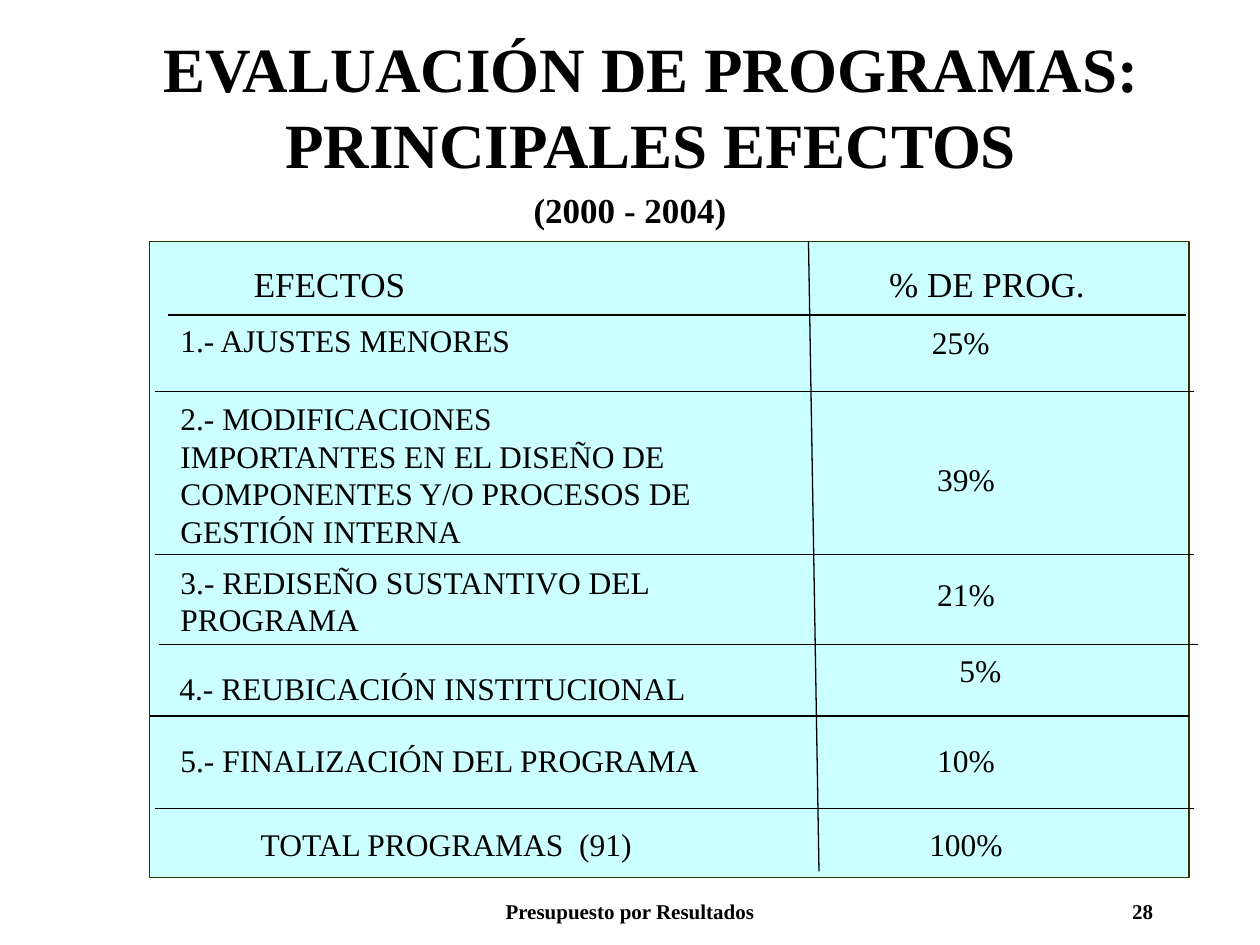
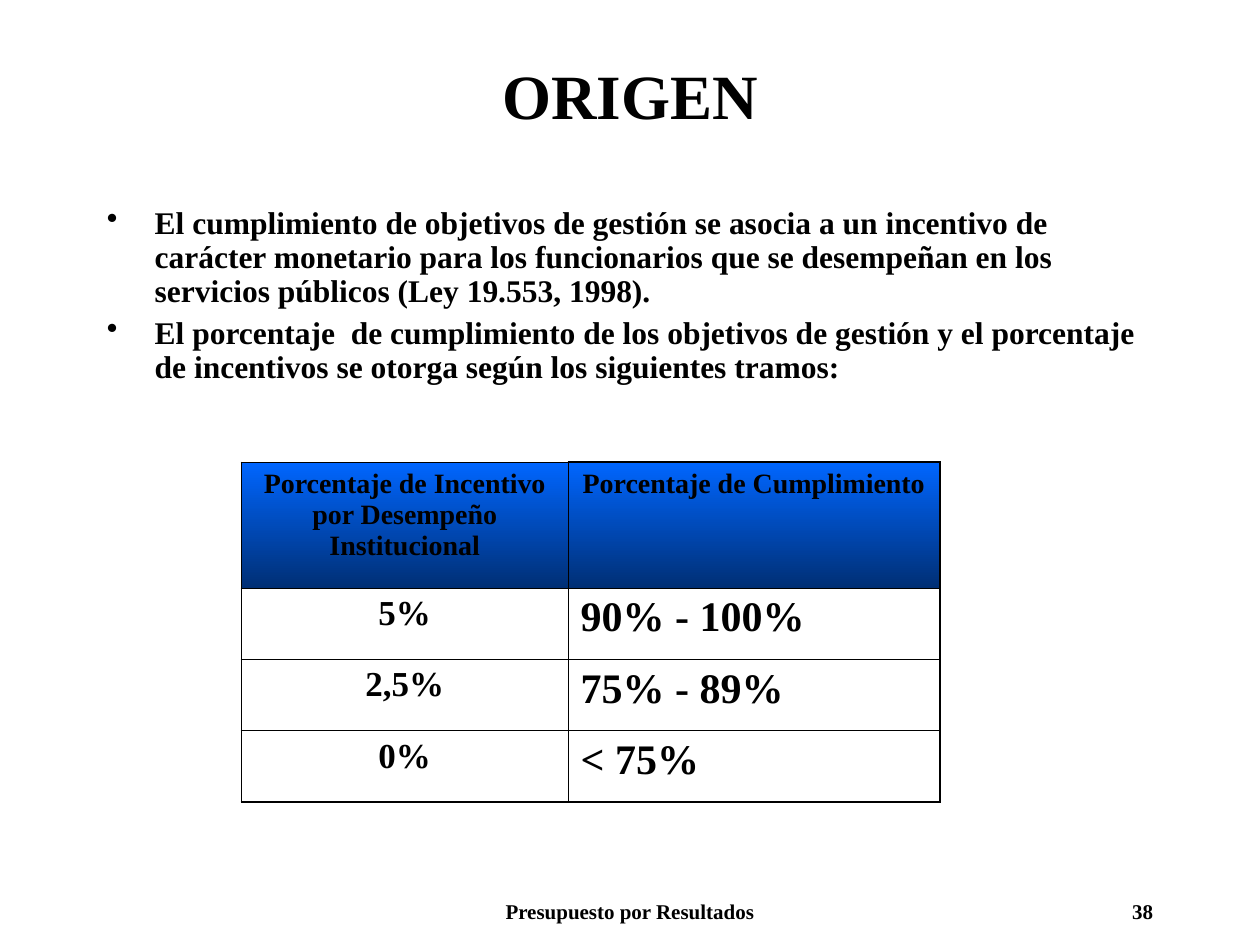
from dataclasses import dataclass
from typing import Optional

import pptx
import pptx.dml.color
import pptx.enum.shapes
import pptx.enum.text
import pptx.oxml
import pptx.oxml.ns
import pptx.util
from lxml import etree

ALIGN = pptx.enum.text.PP_ALIGN
ANCHOR = pptx.enum.text.MSO_ANCHOR

# Shared look: a grid of 120 columns by 90 rows on a 10 x 7.5 inch slide
SLIDE_WIDTH = pptx.util.Inches(10)
SLIDE_HEIGHT = pptx.util.Inches(7.5)
COLUMNS, ROWS = 120, 90
FONT = "Times New Roman"
INK, PANEL, PANEL_EDGE = "000000", "CCFFFF", "333300"
HEADER_TOP, HEADER_BOTTOM = "0066FF", "002F75"
FOOTER = "Presupuesto por Resultados"


@dataclass(frozen=True)
class Box:
    """Place on the grid, in columns and rows."""
    left: float
    top: float
    width: float
    height: float


@dataclass(frozen=True)
class TextStyle:
    size: float
    bold: bool = False
    align: ALIGN = ALIGN.LEFT
    before: float = 0
    line: Optional[float] = None


@dataclass(frozen=True)
class Effect:
    """One line of the effects panel: a label and its share of programmes."""
    label: str
    label_box: Box
    share: str
    share_box: Box
    label_style: TextStyle
    share_style: TextStyle


TITLE = TextStyle(36, bold=True, align=ALIGN.CENTER)
PERIOD = TextStyle(20, bold=True, align=ALIGN.CENTER)
HEADING = TextStyle(20, before=12.5)
HEADING_CENTRED = TextStyle(20, align=ALIGN.CENTER, before=12.5)
ENTRY = TextStyle(18, before=11.2)
ENTRY_CENTRED = TextStyle(18, align=ALIGN.CENTER, before=11.2)
BULLET = TextStyle(18, bold=True, before=4.5, line=0.9)


def across(columns: float) -> int:
    return round(SLIDE_WIDTH * columns / COLUMNS)


def down(rows: float) -> int:
    return round(SLIDE_HEIGHT * rows / ROWS)


def place(box: Box) -> tuple[int, int, int, int]:
    return across(box.left), down(box.top), across(box.width), down(box.height)


def colour(value: str) -> pptx.dml.color.RGBColor:
    return pptx.dml.color.RGBColor.from_string(value)


def write(paragraph, text: str, style: TextStyle) -> None:
    paragraph.alignment = style.align
    paragraph.space_before = pptx.util.Pt(style.before)
    if style.line:
        paragraph.line_spacing = style.line
    run = paragraph.add_run()
    run.text = text
    run.font.name = FONT
    run.font.size = pptx.util.Pt(style.size)
    run.font.bold = style.bold
    run.font.color.rgb = colour(INK)


def add_text(slide, box: Box, text: str, style: TextStyle,
             anchor: ANCHOR = ANCHOR.TOP, grow: bool = False) -> None:
    frame = slide.shapes.add_textbox(*place(box)).text_frame
    frame.word_wrap = True
    frame.vertical_anchor = anchor
    if grow:
        frame.auto_size = pptx.enum.text.MSO_AUTO_SIZE.SHAPE_TO_FIT_TEXT
    write(frame.paragraphs[0], text, style)


def add_rule(slide, x1: float, y1: float, x2: float, y2: float) -> None:
    rule = slide.shapes.add_connector(
        pptx.enum.shapes.MSO_CONNECTOR.STRAIGHT,
        across(x1), down(y1), across(x2), down(y2))
    rule.line.color.rgb = colour(INK)
    rule.line.width = pptx.util.Pt(0.75)
    etree.SubElement(rule._element.spPr, pptx.oxml.ns.qn("a:effectLst"))


def add_slide(deck, title: str, title_box: Box, number: int):
    """Blank slide with the shared title and footer."""
    slide = deck.slides.add_slide(deck.slide_layouts[6])
    add_text(slide, title_box, title, TITLE, ANCHOR.MIDDLE)
    add_text(slide, Box(41, 85, 38, 3), FOOTER, TextStyle(12, True, ALIGN.CENTER))
    add_text(slide, Box(86, 85, 25, 3), str(number), TextStyle(12, True, ALIGN.RIGHT))
    return slide


# Effects of the programme evaluation
def effect(label: str, label_top: float, label_width: float, share: str, share_top: float,
           *, lines: int = 1, label_left: float = 16, share_left: float = 79,
           share_width: float = 26, label_style: TextStyle = ENTRY) -> Effect:
    return Effect(label, Box(label_left, label_top, label_width, 1.2 + 3.6 * lines),
                  share, Box(share_left, share_top, share_width, 4.8),
                  label_style, ENTRY_CENTRED)


EFFECTS = [
    Effect("EFECTOS", Box(23, 24.4, 18.25, 5.25), "% DE PROG.", Box(82, 24.4, 24, 5.25),
           HEADING, HEADING_CENTRED),
    effect("1.- AJUSTES MENORES", 30, 55.7, "25%", 30.2, share_width=25),
    effect("2.- MODIFICACIONES IMPORTANTES EN EL DISEÑO DE COMPONENTES Y/O "
           "PROCESOS DE GESTIÓN INTERNA", 37.4, 53, "39%", 43.2, lines=4),
    effect("3.- REDISEÑO SUSTANTIVO DEL PROGRAMA", 53, 50, "21%", 54.2, lines=2),
    effect("4.- REUBICACIÓN INSTITUCIONAL", 63.1, 76, "5%", 61.4, label_left=3.2,
           share_left=90, share_width=6.75, label_style=ENTRY_CENTRED),
    effect("5.- FINALIZACIÓN DEL PROGRAMA", 70, 55.7, "10%", 70),
    effect("TOTAL PROGRAMAS  (91)", 78, 53, "100%", 78, label_style=ENTRY_CENTRED),
]
EFFECTS_PANEL = Box(14.25, 23, 99, 60.6)
# Left end, height and length of each row divider
DIVIDERS = [(16, 30, 97), (14.75, 37.3, 99), (14.75, 52.8, 99),
            (15.1, 61.4, 99), (14.25, 68.2, 99), (14.75, 77, 99)]


def build_effects(deck) -> None:
    slide = add_slide(deck, "EVALUACIÓN DE PROGRAMAS: PRINCIPALES EFECTOS",
                      Box(11, 3, 102, 14), 28)
    add_text(slide, Box(9, 17, 102, 6), "(2000 - 2004)", PERIOD, ANCHOR.MIDDLE)

    panel = slide.shapes.add_shape(pptx.enum.shapes.MSO_SHAPE.RECTANGLE,
                                   *place(EFFECTS_PANEL))
    panel.shadow.inherit = False
    panel.fill.solid()
    panel.fill.fore_color.rgb = colour(PANEL)
    panel.line.color.rgb = colour(PANEL_EDGE)
    panel.line.width = pptx.util.Pt(0.75)

    add_rule(slide, 77, 23, 78, 83)
    for left, height, length in DIVIDERS:
        add_rule(slide, left, height, left + length, height)
    for item in EFFECTS:
        add_text(slide, item.label_box, item.label, item.label_style, grow=True)
        add_text(slide, item.share_box, item.share, item.share_style, grow=True)


# Origin of the incentive
ORIGIN_POINTS = [
    "El cumplimiento de objetivos de gestión se asocia a un incentivo de carácter "
    "monetario para los funcionarios que se desempeñan en los servicios públicos "
    "(Ley 19.553, 1998).",
    "El porcentaje  de cumplimiento de los objetivos de gestión y el porcentaje de "
    "incentivos se otorga según los siguientes tramos:",
]
BRACKETS = [
    ("Porcentaje de Incentivo por Desempeño Institucional", "Porcentaje de Cumplimiento"),
    ("5%", "90% - 100%"),
    ("2,5%", "75% - 89%"),
    ("0%", "< 75%"),
]
BRACKET_HEADER = TextStyle(16, True, ALIGN.CENTER, 4)
BRACKET_STYLES = (TextStyle(20, True, ALIGN.CENTER, 5), TextStyle(24, True, before=6))
BRACKET_COLUMNS = (31.1, 35.4)
BRACKET_ROWS = (12, 6.8, 6.8, 6.8)
THIN, THICK = 0.45, 1.08


def add_bullet(paragraph) -> None:
    indent = pptx.util.Inches(0.38)
    properties = paragraph._p.get_or_add_pPr()
    properties.set("marL", str(indent))
    properties.set("indent", str(-indent))
    bullet = etree.SubElement(properties, pptx.oxml.ns.qn("a:buChar"))
    bullet.set("char", "•")


def set_borders(cell, widths: dict[str, float]) -> None:
    properties = cell._tc.get_or_add_tcPr()
    for position, (side, width) in enumerate(widths.items()):
        properties.insert(position, pptx.oxml.parse_xml(
            f'<a:ln{side} {pptx.oxml.ns.nsdecls("a")} w="{pptx.util.Pt(width)}">'
            f'<a:solidFill><a:srgbClr val="{INK}"/></a:solidFill></a:ln{side}>'))


def fill_header(cell) -> None:
    cell.fill.gradient()
    cell.fill.gradient_angle = 270
    for stop, position, shade in zip(cell.fill.gradient_stops, (0, 1),
                                     (HEADER_TOP, HEADER_BOTTOM)):
        stop.position = position
        stop.color.rgb = colour(shade)


def add_brackets(slide) -> None:
    box = Box(23, 44, sum(BRACKET_COLUMNS), sum(BRACKET_ROWS))
    table = slide.shapes.add_table(len(BRACKET_ROWS), len(BRACKET_COLUMNS),
                                   *place(box)).table
    table.first_row = table.horz_banding = False
    for column, width in zip(table.columns, BRACKET_COLUMNS):
        column.width = across(width)
    for r, (height, texts) in enumerate(zip(BRACKET_ROWS, BRACKETS)):
        table.rows[r].height = down(height)
        for c, text in enumerate(texts):
            cell = table.cell(r, c)
            write(cell.text_frame.paragraphs[0], text,
                  BRACKET_STYLES[c] if r else BRACKET_HEADER)
            if r:
                cell.fill.background()
            else:
                fill_header(cell)
            set_borders(cell, {
                "L": THIN if c else THICK,
                "R": THICK if c else THIN,
                "T": THICK if c and not r else THIN,
                "B": THICK if r == len(BRACKETS) - 1 else THIN,
            })


def build_origin(deck) -> None:
    slide = add_slide(deck, "ORIGEN", Box(9, 4, 102, 10), 38)
    frame = slide.shapes.add_textbox(*place(Box(9, 16, 102, 66))).text_frame
    frame.word_wrap = True
    frame.margin_top = pptx.util.Inches(0.31)
    for index, point in enumerate(ORIGIN_POINTS):
        paragraph = frame.add_paragraph() if index else frame.paragraphs[0]
        write(paragraph, point, BULLET)
        add_bullet(paragraph)
    add_brackets(slide)


def main() -> None:
    deck = pptx.Presentation()
    deck.slide_width, deck.slide_height = SLIDE_WIDTH, SLIDE_HEIGHT
    build_effects(deck)
    build_origin(deck)
    deck.save("out.pptx")


if __name__ == "__main__":
    main()
